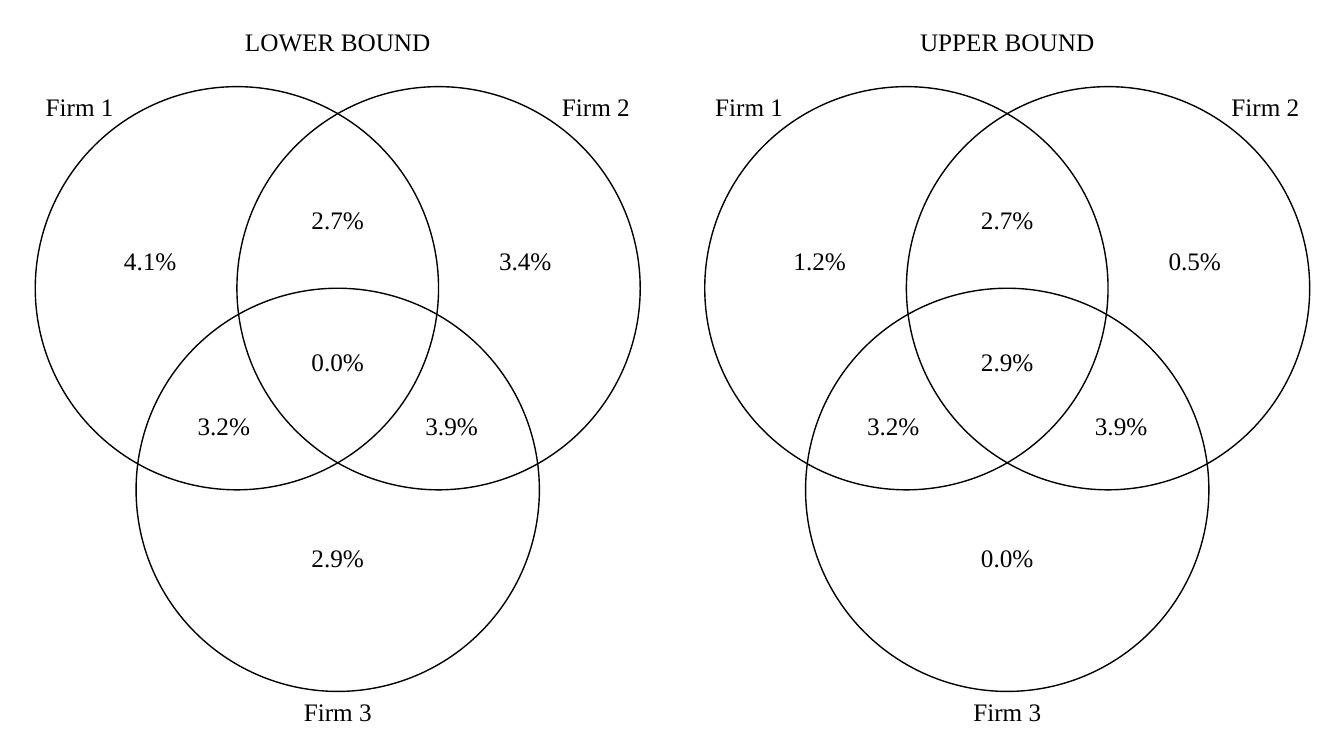
import dataclasses

import pptx
import pptx.dml.color
import pptx.enum.shapes
import pptx.enum.text
import pptx.util

Inches = pptx.util.Inches


@dataclasses.dataclass(frozen=True)
class Theme:
    """Hold the colours, font and sizes of the slide."""
    ink: pptx.dml.color.RGBColor = pptx.dml.color.RGBColor(0, 0, 0)
    font: str = "Times New Roman"
    text_size: int = 18
    line_width: int = 1


THEME = Theme()
DIAMETER = 4
LABEL_HEIGHT = 0.4
FIRM_WIDTH = 0.88
VALUE_WIDTH = 0.73
HEADING_WIDTH = 2.06
CIRCLES = [(-1, 2), (1, 2), (0, 4)]
FIRMS = [("Firm 1", -2.56, 0.2), ("Firm 2", 2.56, 0.2), ("Firm 3", 0, 6.2)]
REGIONS = {
    "firm 1 only": (-1.86, 1.72),
    "firm 2 only": (1.86, 1.72),
    "firm 3 only": (0, 4.67),
    "firms 1 and 2": (0, 1.32),
    "firms 1 and 3": (-1.13, 3.36),
    "firms 2 and 3": (1.13, 3.36),
    "all firms": (0, 2.73),
}
LOWER_SHARES = ["4.1%", "3.4%", "2.9%", "2.7%", "3.2%", "3.9%", "0.0%"]
UPPER_SHARES = ["1.2%", "0.5%", "0.0%", "2.7%", "3.2%", "3.9%", "2.9%"]


def centred_box(x, y, width, height):
    """Return the left, top, width and height of a box centred on a point."""
    return [Inches(length) for length in (x - width / 2, y - height / 2, width, height)]


def format_label(shape, text):
    """Write one centred line of text in the theme's style."""
    frame = shape.text_frame
    frame.text = text
    frame.word_wrap = False
    frame.auto_size = pptx.enum.text.MSO_AUTO_SIZE.SHAPE_TO_FIT_TEXT
    frame.vertical_anchor = pptx.enum.text.MSO_ANCHOR.TOP
    paragraph = frame.paragraphs[0]
    paragraph.alignment = pptx.enum.text.PP_ALIGN.CENTER
    paragraph.space_before = pptx.util.Pt(0)
    font = paragraph.runs[0].font
    font.name = THEME.font
    font.size = pptx.util.Pt(THEME.text_size)
    font.bold = False
    font.color.rgb = THEME.ink


def add_circle(slide, x, y):
    """Draw one outlined circle centred on a point."""
    circle = slide.shapes.add_shape(
        pptx.enum.shapes.MSO_SHAPE.OVAL, *centred_box(x, y, DIAMETER, DIAMETER))
    circle.shadow.inherit = False
    circle.fill.background()
    circle.line.color.rgb = THEME.ink
    circle.line.width = pptx.util.Pt(THEME.line_width)


def add_label(slide, text, x, y, width):
    """Place a text box centred on a point."""
    label = slide.shapes.add_textbox(*centred_box(x, y, width, LABEL_HEIGHT))
    format_label(label, text)


def add_venn(slide, box, heading, title, shares):
    """Build one three-firm Venn diagram with its heading in the given box."""
    left, top, width = box
    centre = left + width / 2
    heading.left, heading.top, heading.width, heading.height = centred_box(
        centre, top - 0.45, HEADING_WIDTH, LABEL_HEIGHT)
    format_label(heading, title)
    for x, y in CIRCLES:
        add_circle(slide, centre + x, top + y)
    for firm, x, y in FIRMS:
        add_label(slide, firm, centre + x, top + y, FIRM_WIDTH)
    for share, (x, y) in zip(shares, REGIONS.values()):
        add_label(slide, share, centre + x, top + y, VALUE_WIDTH)


def build_comparison_slide(presentation):
    """Add the slide that sets the lower bound beside the upper bound."""
    slide = presentation.slides.add_slide(
        presentation.slide_layouts.get_by_name("Comparison"))
    placeholders = {shape.placeholder_format.idx: shape for shape in slide.placeholders}
    add_venn(slide, (0.35, 0.86, 6), placeholders[1], "LOWER BOUND", LOWER_SHARES)
    add_venn(slide, (6.99, 0.86, 6), placeholders[3], "UPPER BOUND", UPPER_SHARES)
    for shape in list(slide.placeholders):
        if not shape.text_frame.text:
            shape.element.getparent().remove(shape.element)


def main():
    """Create and save the presentation."""
    presentation = pptx.Presentation()
    presentation.slide_width = Inches(13.33)
    presentation.slide_height = Inches(7.5)
    build_comparison_slide(presentation)
    presentation.save("out.pptx")


main()
